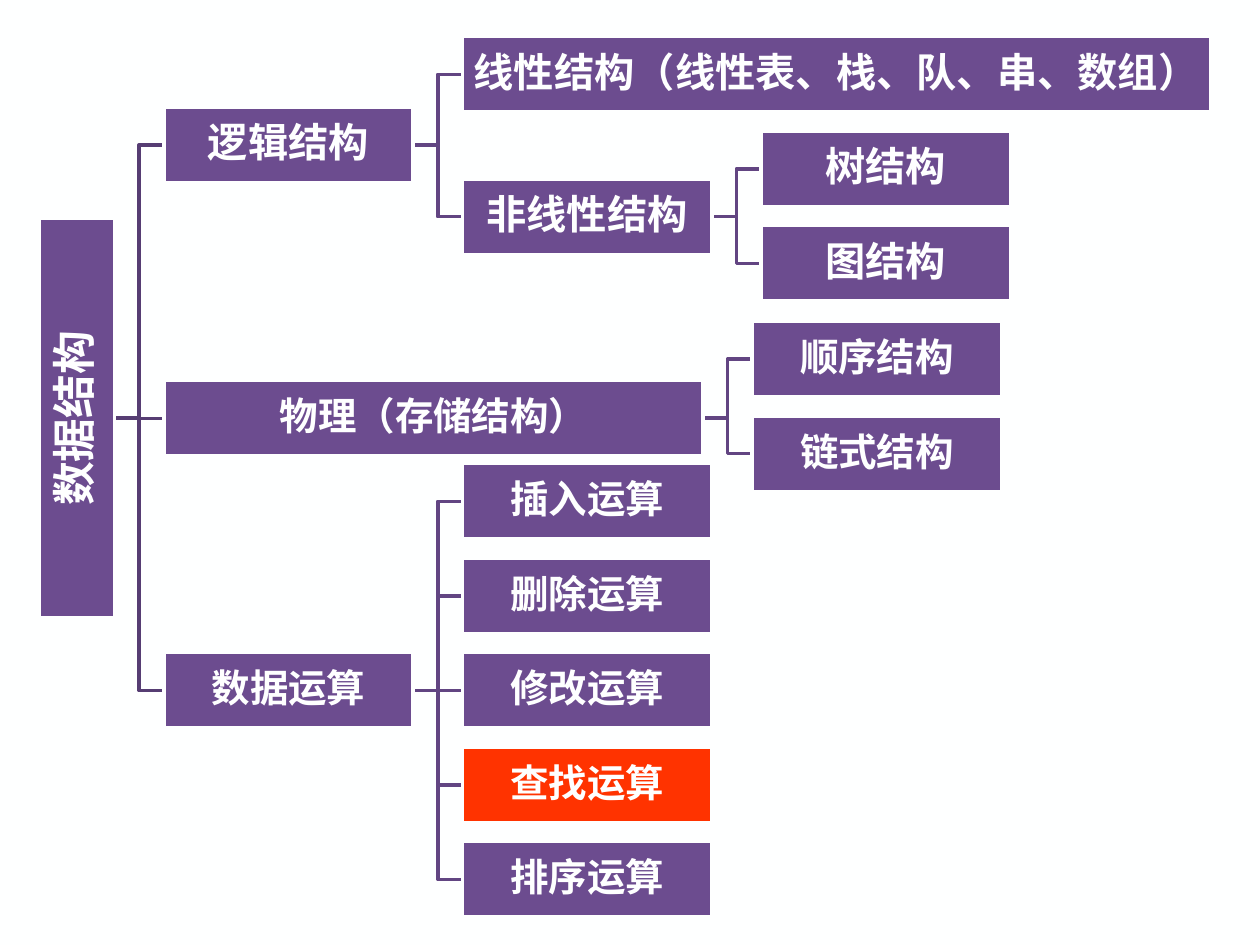
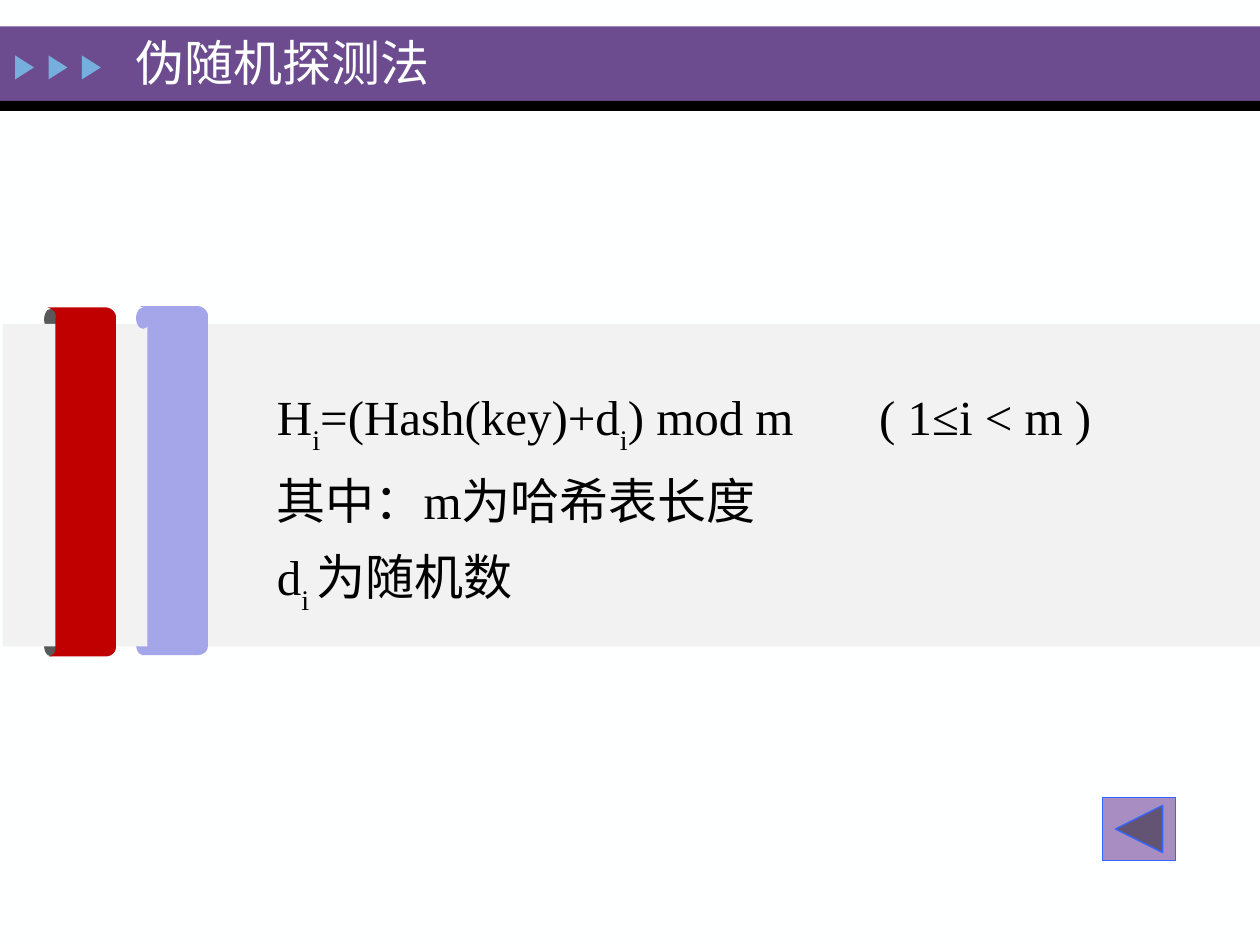
from dataclasses import dataclass

from lxml import etree
from pptx import Presentation
from pptx.dml.color import RGBColor
from pptx.enum.shapes import MSO_CONNECTOR, MSO_SHAPE
from pptx.enum.text import MSO_ANCHOR, PP_ALIGN
from pptx.oxml.ns import qn
from pptx.util import Inches, Pt

RECTANGLE = MSO_SHAPE.RECTANGLE
ELLIPSE = MSO_SHAPE.OVAL
TRIANGLE = MSO_SHAPE.ISOSCELES_TRIANGLE
BACK_BUTTON = MSO_SHAPE.ACTION_BUTTON_BACK_OR_PREVIOUS
STRAIGHT = MSO_CONNECTOR.STRAIGHT
ELBOW = MSO_CONNECTOR.ELBOW
MIDDLE = MSO_ANCHOR.MIDDLE
CENTER = PP_ALIGN.CENTER
JUSTIFY = PP_ALIGN.JUSTIFY

COLORS = {
    "paper": "FEFFFF",
    "purple": "6C4C8F",
    "root_branch": "563D73",
    "branch": "624582",
    "highlight": "FF3300",
    "black": "000000",
    "arrow": "76AEDD",
    "panel": "F2F2F2",
    "red": "C00000",
    "lavender": "A5A5E9",
    "gray": "595959",
    "button": "A78DC2",
    "button_edge": "3366FF",
}
FONT = "Times New Roman"
NODE_HEIGHT = 0.6
NODE_WIDTH = 1.98
BRANCH_GAP = 0.39
ROW_PITCH = 0.75


@dataclass
class Node:
    text: str
    top: float
    size: int = 22
    width: float = NODE_WIDTH
    fill: str = "purple"
    children: tuple = ()

    @property
    def middle(self):
        return self.top + NODE_HEIGHT / 2


def stack(top, names, size=22, marked=None):
    return tuple(
        Node(name, top + ROW_PITCH * row, size, fill="highlight" if name == marked else "purple")
        for row, name in enumerate(names)
    )


STRUCTURE_TREE = Node("数据结构", 3.02, 25, NODE_HEIGHT, children=(
    Node("逻辑结构", 0.85, 23, children=(
        Node("线性结构（线性表、栈、队、串、数组）", 0.29, 23, 5.94),
        Node("非线性结构", 1.42, 23, children=stack(1.04, ("树结构", "图结构"), 23)),
    )),
    Node("物理（存储结构）", 3.02, width=4.28, children=stack(2.55, ("顺序结构", "链式结构"))),
    Node("数据运算", 5.18, children=stack(
        3.68, ("插入运算", "删除运算", "修改运算", "查找运算", "排序运算"), marked="查找运算")),
))


def rgb(name):
    return RGBColor.from_string(COLORS[name])


def set_attributes(target, values):
    for name, value in values.items():
        setattr(target, name, value)


def paint(shape, fill, line=None, line_width=0.75):
    shape.shadow.inherit = False
    shape.fill.solid()
    shape.fill.fore_color.rgb = rgb(fill)
    if line:
        shape.line.color.rgb = rgb(line)
        shape.line.width = Pt(line_width)
    else:
        shape.line.fill.background()


def add_block(page, kind, box, fill, line=None, line_width=0.75):
    shape = page.shapes.add_shape(kind, *map(Inches, box))
    paint(shape, fill, line, line_width)
    return shape


def add_span(para, text, size, color, bold=False):
    span = para.add_run()
    span.text = text
    set_attributes(span.font, {"name": FONT, "size": Pt(size), "bold": bold})
    span.font.color.rgb = rgb(color)
    return span


def add_branch(page, start, end, color):
    kind = STRAIGHT if abs(start[1] - end[1]) < 0.01 else ELBOW
    branch = page.shapes.add_connector(kind, *map(Inches, start + end))
    branch.line.color.rgb = rgb(color)
    branch.line.width = Pt(2)
    etree.SubElement(branch._element.spPr, qn("a:effectLst"))


def add_branches(page, node, left, color="branch"):
    right = left + node.width
    for child in node.children:
        child_left = right + BRANCH_GAP
        add_branch(page, (right, node.middle), (child_left, child.middle), color)
        add_branches(page, child, child_left)


def add_nodes(page, node, left, length=None):
    width = length or node.width
    box = (left + (node.width - width) / 2, node.top, width, NODE_HEIGHT)
    block = add_block(page, RECTANGLE, box, node.fill, "paper", 2)
    block.rotation = 270 if length else 0
    frame = block.text_frame
    margins = dict.fromkeys(
        ("margin_left", "margin_top", "margin_right", "margin_bottom"), Inches(0.02))
    set_attributes(frame, {"word_wrap": True, "vertical_anchor": MIDDLE, **margins})
    para = frame.paragraphs[0]
    set_attributes(para, {"alignment": CENTER, "line_spacing": 0.9})
    add_span(para, node.text, node.size, "paper", True)
    for child in node.children:
        add_nodes(page, child, left + node.width + BRANCH_GAP)


def add_title_band(page, title, box):
    left, top, width, height = box
    add_block(page, RECTANGLE, box, "purple")
    add_block(page, RECTANGLE, (left, top + height, width, 0.08), "black")
    for index in range(3):
        arrow_box = (left + 0.1 + 0.265 * index, top + 0.25, 0.19, 0.15)
        add_block(page, TRIANGLE, arrow_box, "arrow").rotation = 90
    label = page.shapes.add_textbox(*map(Inches, (left + 0.98, top, 4.4, 0.56)))
    set_attributes(label.text_frame, {"word_wrap": True, "vertical_anchor": MIDDLE})
    add_span(label.text_frame.paragraphs[0], title, 28, "paper")


def curve(start, first, second, end, steps=8):
    points = []
    for step in range(steps + 1):
        t = step / steps
        weights = ((1 - t) ** 3, 3 * t * (1 - t) ** 2, 3 * t * t * (1 - t), t ** 3)
        points.append(tuple(
            sum(weight * value for weight, value in zip(weights, axis))
            for axis in zip(start, first, second, end)))
    return points


def add_ribbon(page, left, top, width, height, color):
    corners = (
        ((0.06, 0.1), (0.09, 0), (-0.04, 0), (0.01, 0)),
        ((width - 0.08, 0), (width - 0.04, 0), (width, 0.04), (width, 0.07)),
        ((width, height - 0.07), (width, height - 0.03),
         (width - 0.04, height), (width - 0.08, height)),
        ((0.02, height), (-0.02, height), (0.07, height), (0.06, height - 0.07)),
    )
    points = [
        (Inches(left + x), Inches(top + y)) for corner in corners for x, y in curve(*corner)]
    builder = page.shapes.build_freeform(*points[0])
    builder.add_line_segments(points[1:], close=True)
    paint(builder.convert_to_shape(), color)


def add_ribbon_panel(page, box):
    left, top, width, height = box
    ribbon_height = height + 0.21
    red_left, red_top = left + 0.36, top - 0.13
    lavender_left, lavender_top = left + 1.09, top - 0.14

    def add_curl(ribbon_left, curl_top, color):
        add_block(page, ELLIPSE, (ribbon_left - 0.03, curl_top, 0.11, 0.17), color)

    add_curl(lavender_left, lavender_top + 2.6, "lavender")
    add_curl(red_left, red_top + 2.6, "gray")
    add_curl(red_left, red_top + 0.01, "gray")
    add_block(page, RECTANGLE, box, "panel")
    add_ribbon(page, red_left, red_top, 0.54, ribbon_height, "red")
    add_curl(lavender_left, lavender_top + 0.01, "lavender")
    add_ribbon(page, lavender_left, lavender_top, 0.54, ribbon_height, "lavender")


def add_formula(page, box):
    lines = (
        (("H", 0), ("i", 1), ("=(Hash(key)+d", 0), ("i", 1), (") mod m\t( 1≤i < m )", 0)),
        (("其中：m为哈希表长度", 0),),
        (("d", 0), ("i ", 1), ("为随机数", 0)),
    )
    frame = page.shapes.add_textbox(*map(Inches, box)).text_frame
    frame.word_wrap = True
    for index, line in enumerate(lines):
        para = frame.add_paragraph() if index else frame.paragraphs[0]
        set_attributes(para, {"alignment": JUSTIFY, "line_spacing": 1.25})
        tabs = etree.SubElement(para._p.get_or_add_pPr(), qn("a:tabLst"))
        etree.SubElement(tabs, qn("a:tab"), pos=str(Inches(4.78)), algn="l")
        for text, lowered in line:
            span = add_span(para, text, 28, "black")
            if lowered:
                span._r.get_or_add_rPr().set("baseline", "-30000")


def add_structure_slide(deck):
    page = deck.slides.add_slide(deck.slide_layouts[6])
    add_branches(page, STRUCTURE_TREE, 0.31, "root_branch")
    add_nodes(page, STRUCTURE_TREE, 0.31, length=3.17)


def add_probing_slide(deck):
    page = deck.slides.add_slide(deck.slide_layouts[6])
    add_title_band(page, "伪随机探测法", (0, 0.21, 10, 0.59))
    add_block(page, BACK_BUTTON, (8.75, 6.33, 0.58, 0.5), "button", "button_edge")
    add_ribbon_panel(page, (0.02, 2.57, 9.98, 2.56))
    add_formula(page, (2.1, 2.88, 7.8, 1.87))


def main():
    deck = Presentation()
    set_attributes(deck, {"slide_width": Inches(10), "slide_height": Inches(7.5)})
    background = deck.slide_master.background.fill
    background.solid()
    background.fore_color.rgb = rgb("paper")
    add_structure_slide(deck)
    add_probing_slide(deck)
    deck.save("out.pptx")


if __name__ == "__main__":
    main()
